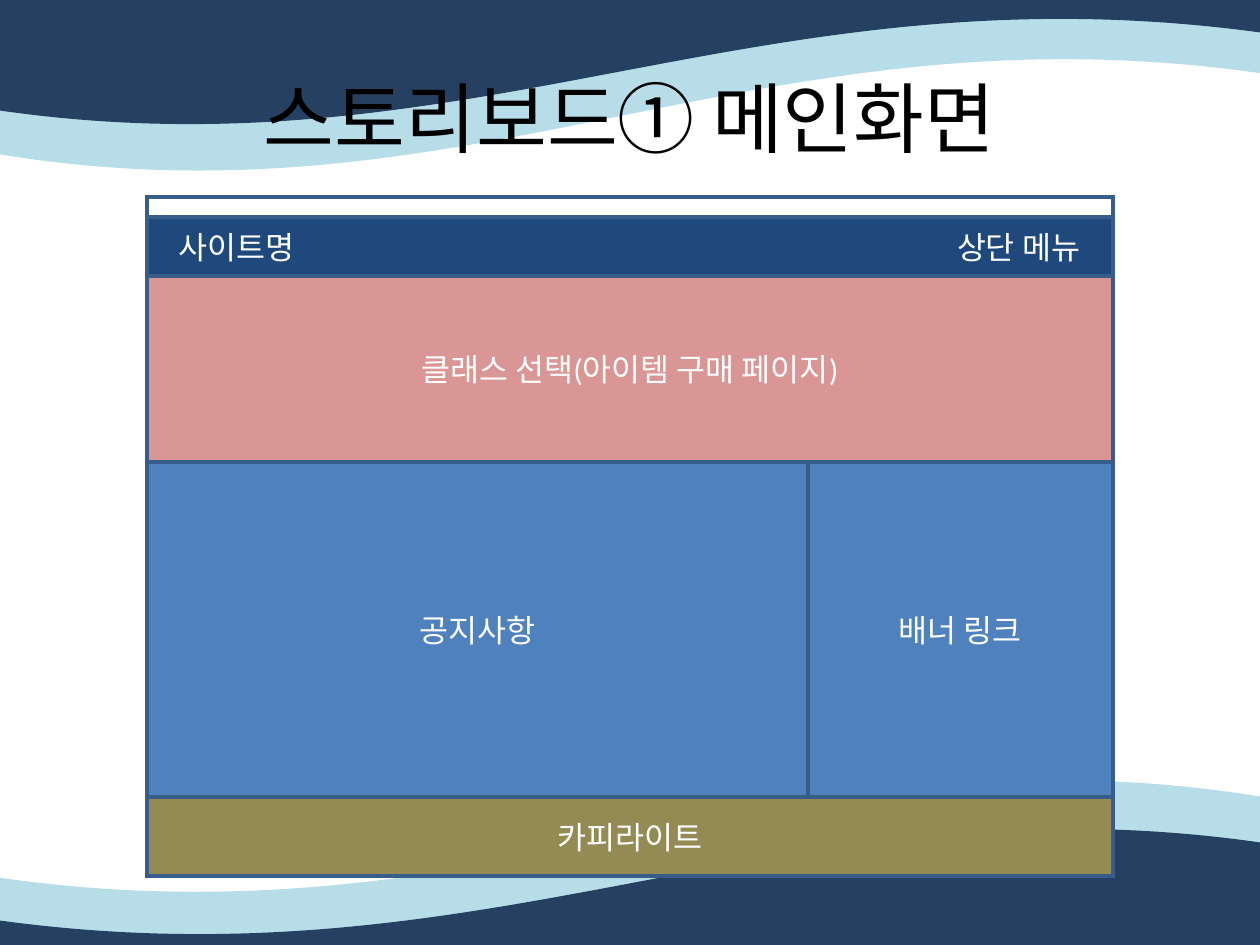
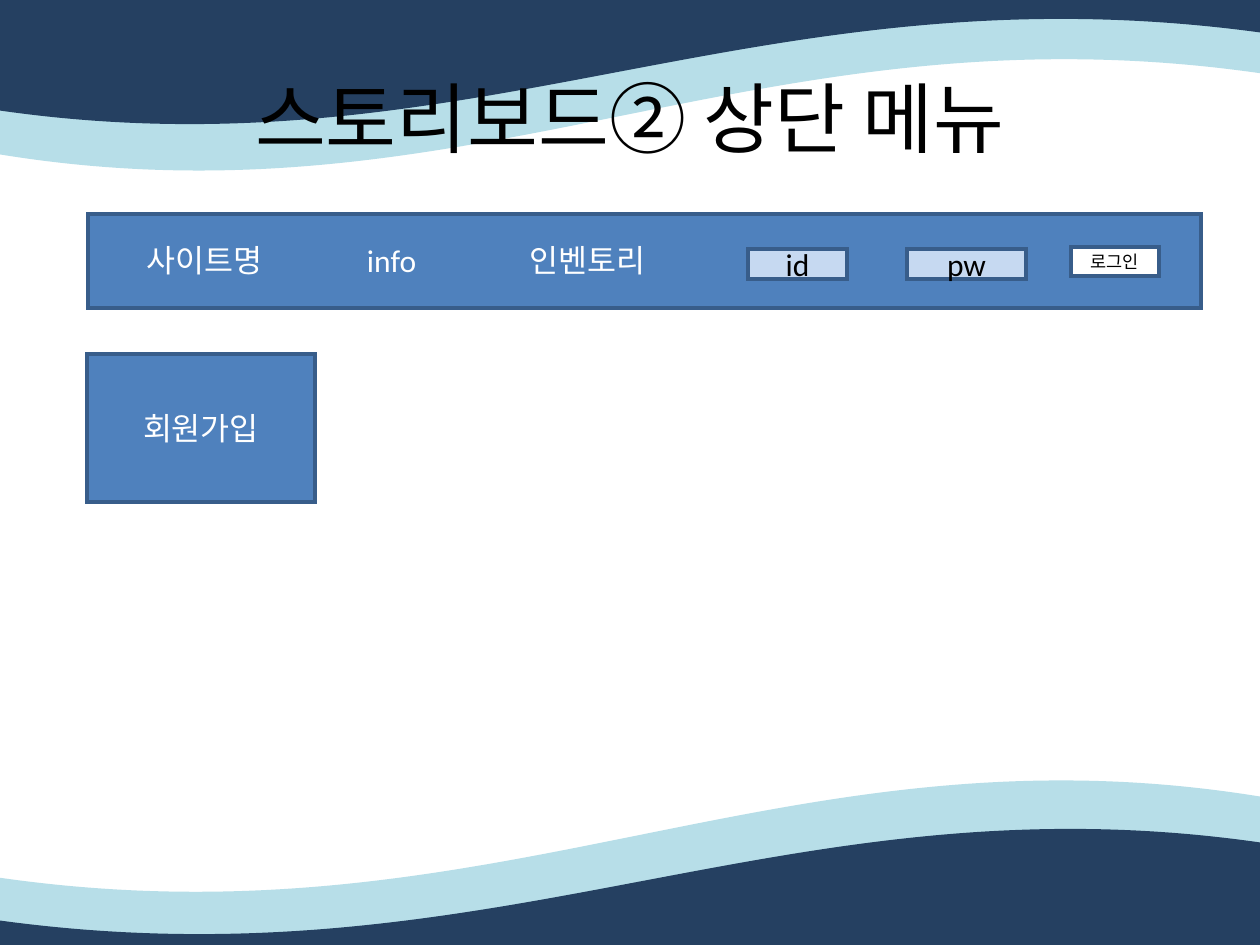
from dataclasses import dataclass
from itertools import accumulate
from typing import Any

from lxml.etree import SubElement
from pptx import Presentation
from pptx.dml.color import RGBColor
from pptx.enum.shapes import MSO_SHAPE
from pptx.enum.text import MSO_ANCHOR, PP_ALIGN
from pptx.oxml.ns import qn
from pptx.util import Emu, Pt

PX_PER_INCH = 126
EMU_PER_PX = 914400 / PX_PER_INCH
SLIDE_W, SLIDE_H = 1260, 945


@dataclass(frozen=True)
class Theme:
    navy: str = "254061"
    pale: str = "B7DEE8"
    header: str = "1F497D"
    blue: str = "4F81BD"
    rose: str = "D99694"
    olive: str = "948A54"
    field: str = "C6D9F1"
    outline: str = "385D8A"
    white: str = "FFFFFF"
    black: str = "000000"
    latin: str = "Calibri"
    korean: str = "Noto Sans CJK KR"
    title_pt: int = 44
    body_pt: int = 18
    small_pt: int = 10
    line_pt: int = 2


THEME = Theme()


@dataclass(frozen=True)
class Wave:
    """A wave outline; a segment has one point (line) or three (curve)."""
    w: int
    h: int
    start: tuple[int, int]
    segments: tuple[tuple[tuple[int, int], ...], ...]
    color: str


@dataclass(frozen=True)
class WavePlace:
    wave: Wave
    x: int
    y: int
    rotation: int


@dataclass(frozen=True)
class Label:
    text: str
    size: int = THEME.body_pt
    color: str = THEME.white
    font: str = THEME.latin
    align: Any = PP_ALIGN.CENTER
    anchor: Any = MSO_ANCHOR.MIDDLE
    indent: int = 13
    tabs: tuple[tuple[int, str], ...] = ()


@dataclass(frozen=True)
class Panel:
    x: int
    y: int
    w: int
    h: int
    fill: str
    label: Label | None = None


PALE_WAVE = Wave(1270, 174, (456, 0), (
    ((764, 0), (1139, 1), (1270, 4)),
    ((1270, 78),),
    ((765, 4), (481, 237), (2, 158)),
    ((0, 3),),
    ((87, 1), (262, 0), (456, 0)),
), THEME.pale)
NAVY_WAVE = Wave(1268, 131, (199, 0), (
    ((1264, 5),),
    ((1264, 14), (1268, 30), (1268, 39)),
    ((763, -31), (479, 186), (0, 116)),
    ((0, 5),),
    ((199, 0),),
), THEME.navy)
WAVE_PLACES = (
    WavePlace(PALE_WAVE, -5, 781, 180),
    WavePlace(NAVY_WAVE, -4, 828, 180),
    WavePlace(PALE_WAVE, -5, -4, 0),
    WavePlace(NAVY_WAVE, -4, -6, 0),
)


def px(n: float) -> Emu:
    return Emu(round(n * EMU_PER_PX))


def rgb(color: str) -> RGBColor:
    return RGBColor.from_string(color)


def set_attrs(obj: Any, values: dict[str, Any]) -> None:
    for name, value in values.items():
        setattr(obj, name, value)


def paint(sp: Any, color: str) -> None:
    sp.shadow.inherit = False
    sp.fill.solid()
    sp.fill.fore_color.rgb = rgb(color)


def write(sp: Any, label: Label) -> None:
    """Put one formatted line of text into a shape."""
    tf = sp.text_frame
    set_attrs(tf, {"word_wrap": True, "vertical_anchor": label.anchor,
                   "margin_left": px(label.indent), "margin_right": px(13),
                   "margin_top": px(6), "margin_bottom": px(6)})
    p = tf.paragraphs[0]
    p.alignment = label.align
    if label.tabs:
        stops = SubElement(p._p.get_or_add_pPr(), qn("a:tabLst"))
        for pos, align in label.tabs:
            SubElement(stops, qn("a:tab"), pos=str(px(pos)), algn=align)
    r = p.add_run()
    r.text = label.text
    set_attrs(r.font, {"size": Pt(label.size), "name": label.font})
    r.font.color.rgb = rgb(label.color)
    # East Asian typeface follows the latin one
    latin = r._r.rPr.find(qn("a:latin"))
    ea = SubElement(r._r.rPr, qn("a:ea"), typeface=THEME.korean)
    latin.addnext(ea)


def draw_panel(slide: Any, panel: Panel) -> None:
    sp = slide.shapes.add_shape(MSO_SHAPE.RECTANGLE, px(panel.x), px(panel.y),
                                px(panel.w), px(panel.h))
    paint(sp, panel.fill)
    sp.line.color.rgb = rgb(THEME.outline)
    sp.line.width = Pt(THEME.line_pt)
    SubElement(sp.element.spPr.get_or_add_ln(), qn("a:miter"), lim="800000")
    if panel.label:
        write(sp, panel.label)


def draw_wave(slide: Any, place: WavePlace) -> Any:
    wave = place.wave
    builder = slide.shapes.build_freeform(*wave.start, scale=EMU_PER_PX)
    builder.add_line_segments([seg[-1] for seg in wave.segments], close=False)
    sp = builder.convert_to_shape()
    # Redraw the outline with true curves, in px within the wave's box
    outline = next(sp.element.iter(qn("a:path")))
    outline.clear()
    set_attrs(outline, {"w": wave.w, "h": wave.h})
    for i, points in enumerate(((wave.start,), *wave.segments)):
        kind = "a:moveTo" if i == 0 else "a:lnTo" if len(points) == 1 else "a:cubicBezTo"
        step = SubElement(outline, qn(kind))
        for x, y in points:
            SubElement(step, qn("a:pt"), x=str(x), y=str(y))
    SubElement(outline, qn("a:close"))
    set_attrs(sp, {"left": px(place.x), "top": px(place.y), "width": px(wave.w),
                   "height": px(wave.h), "rotation": place.rotation})
    paint(sp, wave.color)
    sp.line.fill.background()
    return sp


def share_waves(slide: Any) -> None:
    """Move the waves to the master, behind its placeholders."""
    tree = slide.slide_layout.slide_master.shapes.element
    for i, place in enumerate(WAVE_PLACES):
        tree.insert(2 + i, draw_wave(slide, place).element)


def add_titled_slide(prs: Any, title: str) -> Any:
    slide = prs.slides.add_slide(prs.slide_layouts[5])
    sp = slide.shapes.title
    set_attrs(sp, {"left": px(63), "top": px(38), "width": px(1134), "height": px(157)})
    write(sp, Label(title, THEME.title_pt, THEME.black, THEME.korean))
    return slide


def build_main_screen(prs: Any) -> None:
    slide = add_titled_slide(prs, "스토리보드① 메인화면")
    share_waves(slide)
    # Page frame, then rows stacked from top to bottom
    x, w, notice_w = 147, 966, 661
    header_h, class_h, content_h, footer_h = heights = (59, 186, 335, 79)
    header_y, class_y, content_y, footer_y, bottom = accumulate(heights, initial=217)
    frame_y = 197
    header = Label("사이트명\t상단 메뉴", align=PP_ALIGN.LEFT, indent=32,
                   tabs=((901, "r"),))
    for panel in (
        Panel(x, frame_y, w, bottom - frame_y, THEME.white),
        Panel(x, class_y, w, class_h, THEME.rose, Label("클래스 선택(아이템 구매 페이지)")),
        Panel(x, header_y, w, header_h, THEME.header, header),
        Panel(x, content_y, notice_w, content_h, THEME.blue, Label("공지사항")),
        Panel(x, footer_y, w, footer_h, THEME.olive, Label("카피라이트")),
        Panel(x + notice_w, content_y, w - notice_w, content_h, THEME.blue,
              Label("배너 링크")),
    ):
        draw_panel(slide, panel)


def build_top_menu(prs: Any) -> None:
    slide = add_titled_slide(prs, "스토리보드② 상단 메뉴")
    # Menu bar with login fields
    for panel in (
        Panel(88, 214, 1113, 94, THEME.blue),
        Panel(748, 249, 99, 30, THEME.field, Label("id", color=THEME.black)),
        Panel(907, 249, 119, 30, THEME.field, Label("pw", color=THEME.black)),
        Panel(1071, 247, 88, 29, THEME.white,
              Label("로그인", THEME.small_pt, THEME.black)),
    ):
        draw_panel(slide, panel)
    # Menu items on tab stops
    sp = slide.shapes.add_textbox(px(125), px(235), px(709), px(88))
    write(sp, Label("사이트명\tinfo\t인벤토리", align=PP_ALIGN.LEFT,
                    anchor=MSO_ANCHOR.TOP, indent=22,
                    tabs=((220, "l"), (383, "l"))))
    # Sign-up box
    draw_panel(slide, Panel(87, 354, 228, 148, THEME.blue, Label("회원가입")))


def main() -> None:
    prs = Presentation()
    set_attrs(prs, {"slide_width": px(SLIDE_W), "slide_height": px(SLIDE_H)})
    build_main_screen(prs)
    build_top_menu(prs)
    prs.save("out.pptx")


if __name__ == "__main__":
    main()
